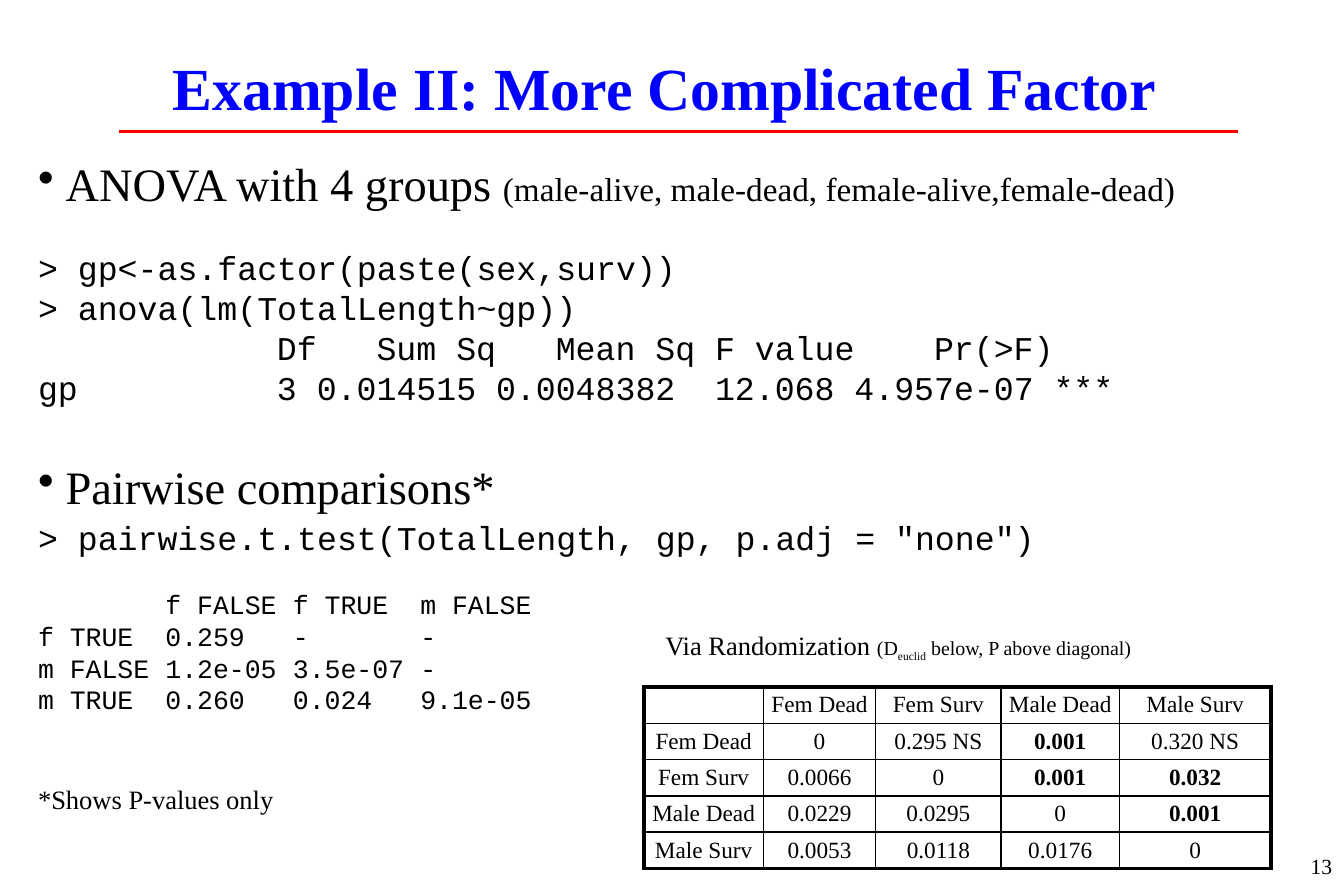
import pptx
import pptx.dml.color
import pptx.enum.shapes
import pptx.enum.text
import pptx.oxml.ns
import pptx.util
import lxml.etree

BLUE = pptx.dml.color.RGBColor(0x00, 0x00, 0xFF)
RED = pptx.dml.color.RGBColor(0xFF, 0x00, 0x00)
BLACK = pptx.dml.color.RGBColor(0x00, 0x00, 0x00)
SERIF, MONO = "Times New Roman", "Courier New"
Inches, Pt, qn = pptx.util.Inches, pptx.util.Pt, pptx.oxml.ns.qn
ALIGN, ANCHOR = pptx.enum.text.PP_ALIGN, pptx.enum.text.MSO_ANCHOR


def add_run(paragraph, text, size, font=SERIF, color=BLACK, bold=False):
    run = paragraph.add_run()
    run.text = text
    run.font.size, run.font.name, run.font.bold = Pt(size), font, bold
    run.font.color.rgb = color
    return run


def add_text_frame(left, top, width, height, wrap=True):
    box = slide.shapes.add_textbox(Inches(left), Inches(top), Inches(width), Inches(height))
    box.text_frame.word_wrap = wrap
    return box.text_frame


presentation = pptx.Presentation()
presentation.slide_width, presentation.slide_height = Inches(11.25), Inches(7.5)
slide = presentation.slides.add_slide(presentation.slide_layouts[5])

# Title and the rule below it
title = slide.shapes.title
title.left, title.top, title.width, title.height = map(Inches, (0.43, 0.1, 10.27, 1.25))
title.text_frame.vertical_anchor = ANCHOR.MIDDLE
title_paragraph = title.text_frame.paragraphs[0]
title_paragraph.alignment = ALIGN.CENTER
add_run(title_paragraph, "Example II: More Complicated Factor", 36, color=BLUE, bold=True)

rule = slide.shapes.add_connector(pptx.enum.shapes.MSO_CONNECTOR.STRAIGHT,
                                  Inches(1), Inches(1.1), Inches(10.36), Inches(1.1))
rule.line.color.rgb = RED
rule.line.width = Pt(1.5)
lxml.etree.SubElement(rule._element.spPr, qn("a:effectLst"))

# Body: space before, bullet, tab stops in characters, runs of (text, size, font)
PAIR_STOPS = (8, 16, 24)
body_lines = [
    (0, True, (), [("ANOVA with 4 groups ", 28, SERIF),
                   ("(male-alive, male-dead, female-alive,female-dead)", 20, SERIF)]),
    (22, False, (), [("> gp<-as.factor(paste(sex,surv))", 20, MONO)]),
    (0, False, (), [("> anova(lm(TotalLength~gp))", 20, MONO)]),
    (0, False, (12, 17, 26, 34, 45), [("\tDf\tSum Sq\tMean Sq\tF value\tPr(>F)", 20, MONO)]),
    (0, False, (12, 14, 23, 34, 41, 51),
     [("gp\t3\t0.014515\t0.0048382\t12.068\t4.957e-07\t***", 20, MONO)]),
    (31, True, (), [("Pairwise comparisons*", 28, SERIF)]),
    (2, False, (), [("> pairwise.t.test(TotalLength, gp, p.adj = \"none\")", 20, MONO)]),
    (18.5, False, PAIR_STOPS, [("\tf FALSE\tf TRUE\tm FALSE", 16, MONO)]),
    (0, False, PAIR_STOPS, [("f TRUE\t0.259\t-\t-", 16, MONO)]),
    (0, False, PAIR_STOPS, [("m FALSE\t1.2e-05\t3.5e-07\t-", 16, MONO)]),
    (0, False, PAIR_STOPS, [("m TRUE\t0.260\t0.024\t9.1e-05", 16, MONO)]),
    (41, False, (), [("*Shows P-values only", 16, SERIF)]),
]
body = add_text_frame(0.22, 1.25, 10.71, 5.69)
for index, (space, bullet, stops, runs) in enumerate(body_lines):
    paragraph = body.add_paragraph() if index else body.paragraphs[0]
    size = runs[0][1]
    paragraph.line_spacing = Pt(size * 1.2)
    paragraph.space_before = Pt(space)
    properties = paragraph._p.get_or_add_pPr()
    if bullet:
        properties.set("marL", str(Inches(0.23)))
        properties.set("indent", str(-Inches(0.23)))
        lxml.etree.SubElement(properties, qn("a:buChar")).set("char", "•")
    if stops:
        tab_list = lxml.etree.SubElement(properties, qn("a:tabLst"))
        for stop in stops:
            tab = lxml.etree.SubElement(tab_list, qn("a:tab"))
            tab.set("pos", str(Pt(stop * size * 0.6)))
            tab.set("algn", "l")
    for text, run_size, font in runs:
        add_run(paragraph, text, run_size, font)

# Slide number
number = add_text_frame(8.91, 7, 2.34, 0.5)
number.vertical_anchor = ANCHOR.MIDDLE
number.paragraphs[0].alignment = ALIGN.RIGHT
add_run(number.paragraphs[0], "13", 13)

# Randomization table
groups = ["Fem Dead", "Fem Surv", "Male Dead", "Male Surv"]
values = [["0", "0.295 NS", "0.001", "0.320 NS"],
          ["0.0066", "0", "0.001", "0.032"],
          ["0.0229", "0.0295", "0", "0.001"],
          ["0.0053", "0.0118", "0.0176", "0"]]
SIGNIFICANT = {"0.001", "0.032"}
rows = [[""] + groups] + [[group] + line for group, line in zip(groups, values)]
last = len(rows) - 1
table = slide.shapes.add_table(len(rows), len(rows), Inches(5.39), Inches(5.75),
                               Inches(5.25), Inches(1.52)).table
table.first_row = table.horz_banding = False
for column, width in zip(table.columns, (1, 0.94, 1.05, 0.99, 1.27)):
    column.width = Inches(width)
for row_index, line in enumerate(rows):
    for column_index, text in enumerate(line):
        cell = table.cell(row_index, column_index)
        cell.margin_left = cell.margin_right = Inches(0.03)
        cell.margin_top = cell.margin_bottom = Inches(0.03)
        cell.vertical_anchor = ANCHOR.MIDDLE
        paragraph = cell.text_frame.paragraphs[0]
        paragraph.alignment = ALIGN.CENTER
        if text:
            add_run(paragraph, text, 14, bold=text in SIGNIFICANT)
        else:
            lxml.etree.SubElement(paragraph._p, qn("a:endParaRPr")).set("sz", "1400")
        # Thick outer frame, thin inner lines
        cell_properties = cell._tc.get_or_add_tcPr()
        for side, outer in (("L", column_index == 0), ("R", column_index == last),
                            ("T", row_index == 0), ("B", row_index == last)):
            border = lxml.etree.SubElement(cell_properties, qn("a:ln" + side))
            border.set("w", str(Pt(2.25 if outer else 1)))
            border_fill = lxml.etree.SubElement(border, qn("a:solidFill"))
            lxml.etree.SubElement(border_fill, qn("a:srgbClr")).set("val", str(BLACK))
        cell.fill.background()

# Table caption
caption = add_text_frame(5.47, 5.22, 4.19, 0.37, wrap=False).paragraphs[0]
add_run(caption, "Via Randomization ", 16)
add_run(caption, "(D", 12)
subscript = add_run(caption, "euclid", 12)
subscript.font._element.set("baseline", "-25000")
add_run(caption, " below, P above diagonal)", 12)

for row in table.rows:
    row.height = Inches(1.52 / len(rows))

presentation.save("out.pptx")
